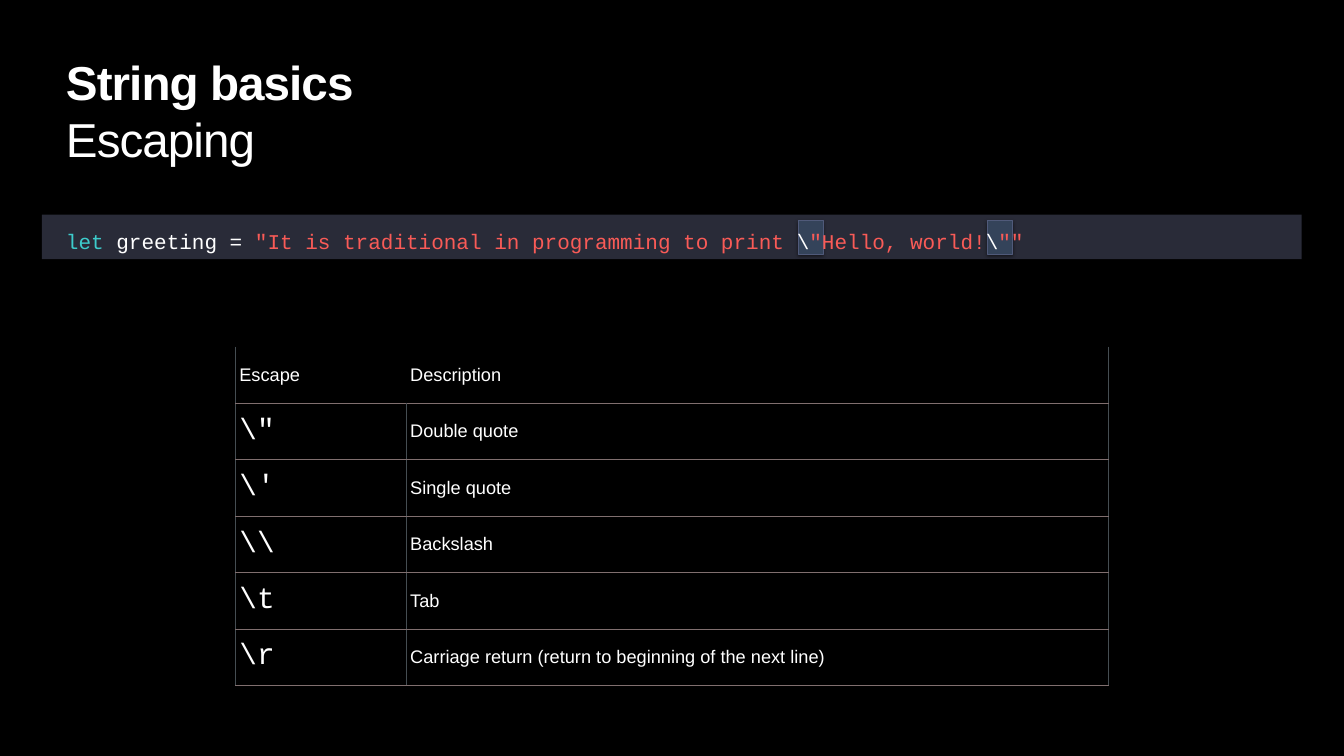
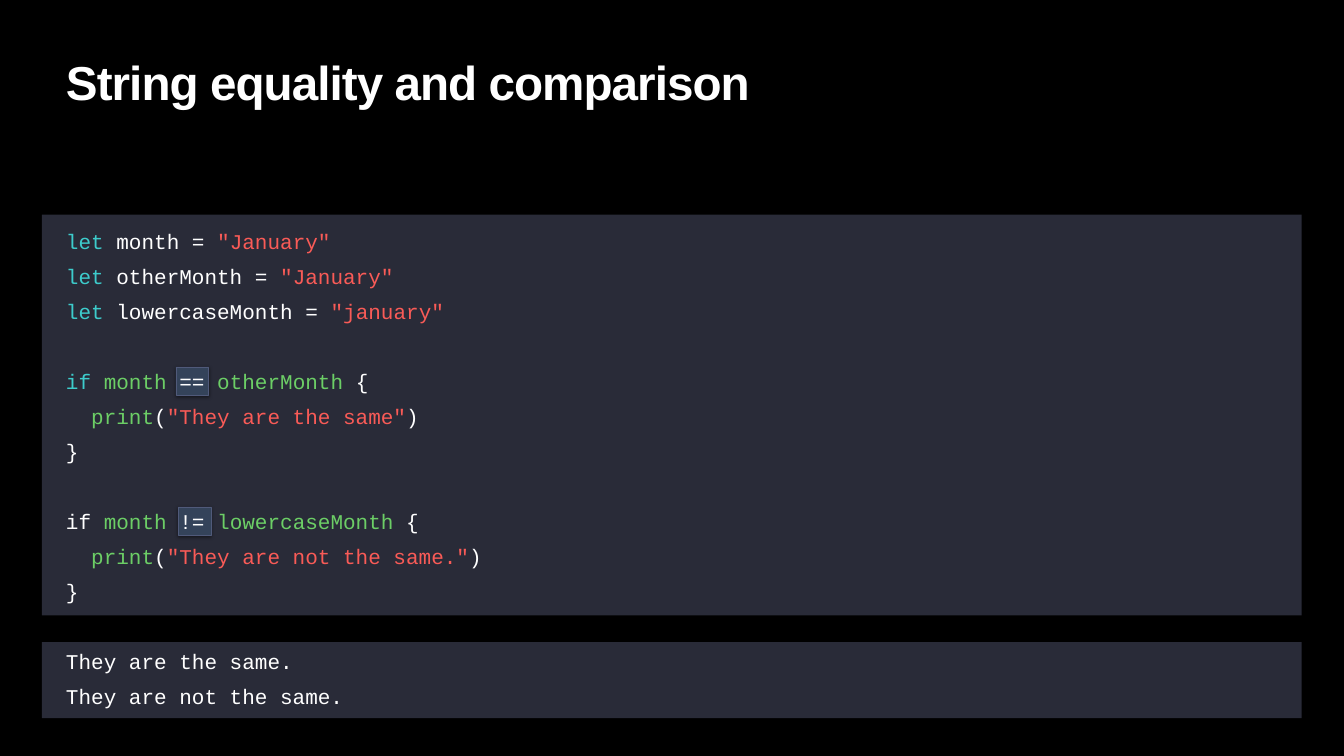
"""Build two slides on string escaping and string comparison."""
from dataclasses import dataclass
from typing import Optional

from lxml.etree import SubElement
from pptx import Presentation
from pptx.dml.color import RGBColor
from pptx.enum.shapes import MSO_SHAPE as Shape
from pptx.enum.text import MSO_ANCHOR as Anchor, PP_ALIGN as Align
from pptx.oxml import parse_xml
from pptx.oxml.ns import nsdecls, qn
from pptx.util import Inches, Pt

BLACK = RGBColor(0x00, 0x00, 0x00)
WHITE = RGBColor(0xFF, 0xFF, 0xFF)
PANEL = RGBColor(0x29, 0x2B, 0x38)
KEYWORD = RGBColor(0x3D, 0xCC, 0xCC)
LITERAL = RGBColor(0xF9, 0x5B, 0x57)
NAME = RGBColor(0x6C, 0xCE, 0x66)
MARK = RGBColor(0x34, 0x43, 0x5A)
MARK_EDGE = RGBColor(0x50, 0x5A, 0x7A)
ROW_RULE = RGBColor(0x80, 0x6F, 0x6F)
COLUMN_RULE = RGBColor(0x45, 0x4D, 0x52)

SANS, MONO = "Arial", "Courier New"
CODE_LEADING = Pt(50)
TEXT_LEFT, TEXT_WIDTH = 1.25, 24.17


@dataclass(frozen=True)
class Style:
    font: str
    size: float
    bold: bool = False
    spacing: int = 0


TITLE = Style(SANS, 68, True, -140)
SUBTITLE = Style(SANS, 68, False, -140)
CODE = Style(MONO, 30)
ESCAPE = Style(MONO, 42)
LABEL = Style(SANS, 26)


@dataclass(frozen=True)
class Token:
    text: str
    color: RGBColor = WHITE


@dataclass(frozen=True)
class Line:
    tokens: tuple[Token, ...]
    gap_before: bool = False


@dataclass(frozen=True)
class Box:
    left: float
    top: float
    width: float
    height: float

    def lengths(self) -> tuple:
        """Return the position and size as lengths."""
        return tuple(map(Inches, (self.left, self.top, self.width, self.height)))


def add_run(paragraph, token: Token, style: Style) -> None:
    """Append one styled run."""
    run = paragraph.add_run()
    run.text = token.text
    run.font.name = style.font
    run.font.size = Pt(style.size)
    run.font.bold = style.bold
    run.font.color.rgb = token.color
    if style.spacing:
        run.font._element.set("spc", str(style.spacing))


def add_text_frame(slide, box: Box, anchor=Anchor.TOP):
    """Add a wrapping text box and return its frame."""
    frame = slide.shapes.add_textbox(*box.lengths()).text_frame
    frame.word_wrap = True
    frame.vertical_anchor = anchor
    frame.margin_left = frame.margin_right = Inches(0.06)
    frame.margin_top = frame.margin_bottom = Inches(0.06)
    return frame


def add_title(slide, title: str) -> None:
    """Add the slide title."""
    frame = add_text_frame(slide, Box(TEXT_LEFT, 0, TEXT_WIDTH, 2.25), Anchor.BOTTOM)
    paragraph = frame.paragraphs[0]
    paragraph.line_spacing = Pt(73)
    add_run(paragraph, Token(title), TITLE)


def add_subtitle(slide, subtitle: str) -> None:
    """Add the line below the title."""
    paragraph = add_text_frame(slide, Box(TEXT_LEFT, 2.25, TEXT_WIDTH, 1.21)).paragraphs[0]
    paragraph.line_spacing = 0.9
    add_run(paragraph, Token(subtitle), SUBTITLE)


def add_rectangle(slide, box: Box, fill: RGBColor):
    """Add a plain filled rectangle."""
    rectangle = slide.shapes.add_shape(Shape.RECTANGLE, *box.lengths())
    rectangle.shadow.inherit = False
    rectangle.fill.solid()
    rectangle.fill.fore_color.rgb = fill
    rectangle.line.fill.background()
    return rectangle


def add_panel(slide, top: float, height: float) -> None:
    """Add a full-width band behind code."""
    add_rectangle(slide, Box(0.83, top, 25, height), PANEL)


def add_highlight(slide, box: Box) -> None:
    """Add an outlined, softly shadowed mark behind part of the code."""
    highlight = add_rectangle(slide, box, MARK)
    highlight.line.color.rgb = MARK_EDGE
    highlight.line.width = Pt(1)
    effects = highlight._element.spPr.find(qn("a:effectLst"))
    shadow = SubElement(effects, qn("a:outerShdw"), blurRad=str(Pt(5)),
                        dist=str(Pt(2)), dir="5400000", rotWithShape="0")
    color = SubElement(shadow, qn("a:srgbClr"), val=str(BLACK))
    SubElement(color, qn("a:alpha"), val="50000")


def add_code(slide, lines: list[Line]) -> None:
    """Add coloured code, one paragraph a line."""
    frame = add_text_frame(slide, Box(TEXT_LEFT, 4.28, TEXT_WIDTH, 9.97))
    for index, line in enumerate(lines):
        paragraph = frame.add_paragraph() if index else frame.paragraphs[0]
        paragraph.line_spacing = CODE_LEADING
        paragraph.space_before = CODE_LEADING if line.gap_before else Pt(0)
        for token in line.tokens:
            add_run(paragraph, token, CODE)


def set_borders(cell, **rules: Optional[RGBColor]) -> None:
    """Set the four cell borders, hiding those without a colour."""
    properties = cell._tc.get_or_add_tcPr()
    for index, side in enumerate("LRTB"):
        color = rules.get(side)
        paint = (f'<a:solidFill><a:srgbClr val="{color}"/></a:solidFill>'
                 if color is not None else "<a:noFill/>")
        properties.insert(index, parse_xml(
            f'<a:ln{side} {nsdecls("a")} w="{Pt(1)}">{paint}</a:ln{side}>'))


def add_escape_table(slide, rows: list[tuple[str, str]]) -> None:
    """Add the table of escapes, header first."""
    widths, row_height = (3.39, 13.94), 1.12
    box = Box(4.67, 6.88, sum(widths), row_height * len(rows))
    table = slide.shapes.add_table(len(rows), len(widths), *box.lengths()).table
    table.first_row = table.horz_banding = False
    for column, width in zip(table.columns, widths):
        column.width = Inches(width)
    for row_index, row in enumerate(rows):
        table.rows[row_index].height = Inches(row_height)
        header = row_index == 0
        for column_index, text in enumerate(row):
            first = column_index == 0
            cell = table.cell(row_index, column_index)
            cell.fill.background()
            cell.vertical_anchor = Anchor.MIDDLE
            cell.margin_left = cell.margin_right = Inches(0.08)
            cell.margin_top = cell.margin_bottom = Inches(0.08)
            paragraph = cell.text_frame.paragraphs[0]
            paragraph.alignment = Align.LEFT
            if header:
                paragraph.line_spacing = Pt(31)
            add_run(paragraph, Token(text), ESCAPE if first and not header else LABEL)
            set_borders(
                cell,
                L=COLUMN_RULE if first or not header else None,
                R=COLUMN_RULE if not first or not header else None,
                T=None if header else ROW_RULE,
                B=ROW_RULE,
            )


def declaration(name: str, value: str) -> Line:
    """Return a line that declares a string constant."""
    return Line((Token("let", KEYWORD), Token(f" {name} = "), Token(f'"{value}"', LITERAL)))


def comparison(operator: str, other: str, message: str, if_color: RGBColor) -> list[Line]:
    """Return an if block that compares month with another constant."""
    return [
        Line((Token("if ", if_color), Token("month", NAME), Token(f" {operator} "),
              Token(other, NAME), Token(" {")), gap_before=True),
        Line((Token("  "), Token("print", NAME), Token("("),
              Token(f'"{message}"', LITERAL), Token(")"))),
        Line((Token("}"),)),
    ]


def add_slide(deck, title: str):
    """Add a black slide with a title."""
    slide = deck.slides.add_slide(deck.slide_layouts[6])
    slide.background.fill.solid()
    slide.background.fill.fore_color.rgb = BLACK
    add_title(slide, title)
    return slide


def build_escaping(deck) -> None:
    """Build the slide on escaping."""
    slide = add_slide(deck, "String basics")
    add_subtitle(slide, "Escaping")
    add_panel(slide, 4.26, 0.88)
    for left in (15.84, 19.6):
        add_highlight(slide, Box(left, 4.38, 0.49, 0.67))
    add_code(slide, [Line((
        Token("let", KEYWORD), Token(" greeting = "),
        Token('"It is traditional in programming to print ', LITERAL),
        Token("\\"), Token('"Hello, world!', LITERAL),
        Token("\\"), Token('""', LITERAL),
    ))])
    add_escape_table(slide, [
        ("Escape", "Description"),
        ('\\"', "Double quote"),
        ("\\'", "Single quote"),
        ("\\\\", "Backslash"),
        ("\\t", "Tab"),
        ("\\r", "Carriage return (return to beginning of the next line)"),
    ])


def build_comparison(deck) -> None:
    """Build the slide on equality and comparison."""
    slide = add_slide(deck, "String equality and comparison")
    add_panel(slide, 12.74, 1.51)
    add_panel(slide, 4.26, 7.95)
    for left, top in ((3.49, 7.28), (3.54, 10.06)):
        add_highlight(slide, Box(left, top, 0.65, 0.56))
    add_code(slide, [
        declaration("month", "January"),
        declaration("otherMonth", "January"),
        declaration("lowercaseMonth", "january"),
        *comparison("==", "otherMonth", "They are the same", KEYWORD),
        *comparison("!=", "lowercaseMonth", "They are not the same.", WHITE),
        Line((Token("They are the same."),), gap_before=True),
        Line((Token("They are not the same."),)),
    ])


def main() -> None:
    """Build and save the presentation."""
    deck = Presentation()
    deck.slide_width, deck.slide_height = Inches(26.67), Inches(15)
    build_escaping(deck)
    build_comparison(deck)
    deck.save("out.pptx")


main()
